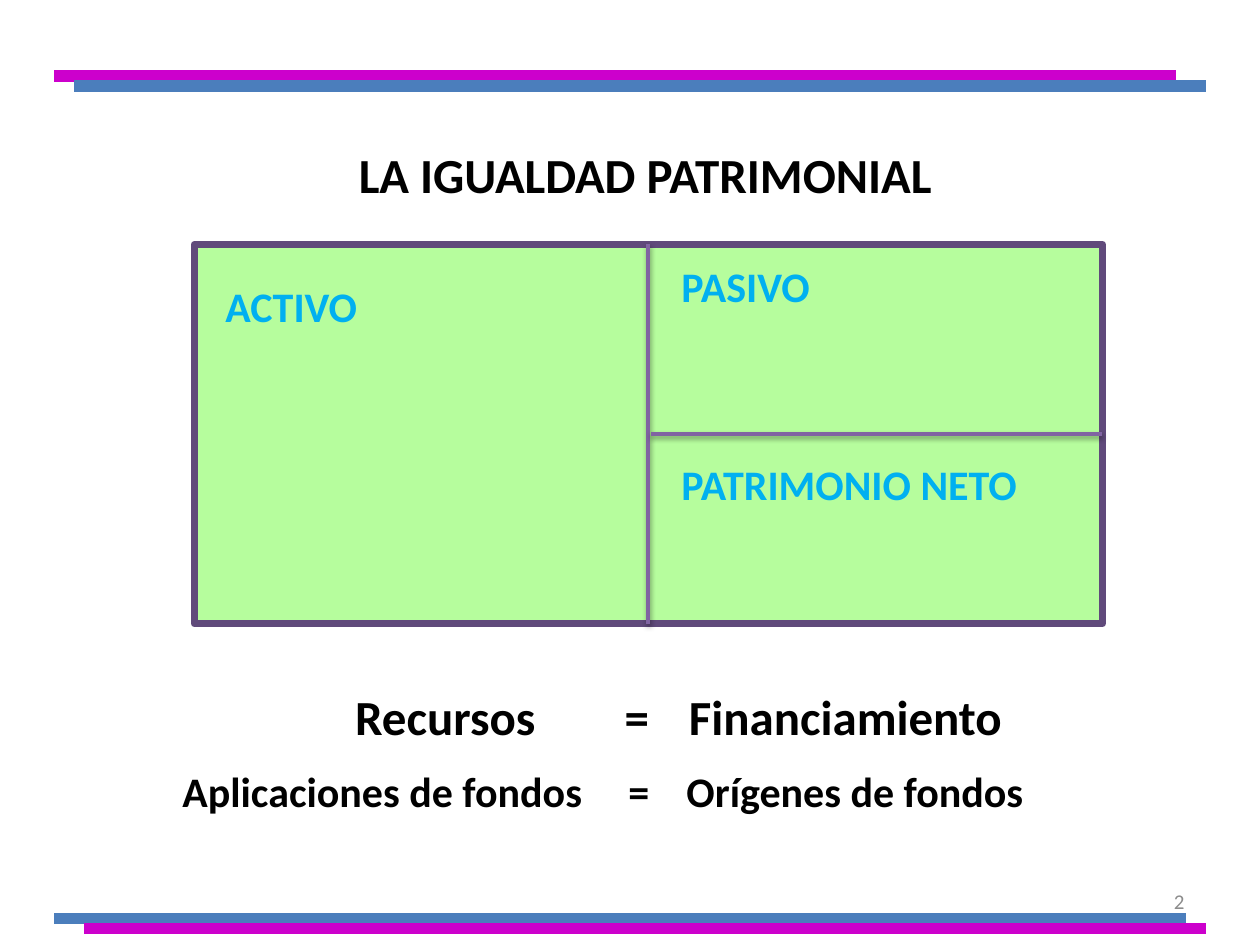
from lxml.etree import SubElement
from pptx import Presentation
from pptx.dml.color import RGBColor
from pptx.enum.shapes import MSO_CONNECTOR, MSO_SHAPE
from pptx.enum.text import MSO_ANCHOR, MSO_AUTO_SIZE, PP_ALIGN
from pptx.oxml.ns import qn
from pptx.util import Inches, Pt

colour = RGBColor.from_string
deck = Presentation()
deck.slide_width, deck.slide_height = Inches(10), Inches(7.5)
column, row = deck.slide_width / 100, deck.slide_height / 75
slide = deck.slides.add_slide(deck.slide_layouts[6])


def add_text(words, left, top, width, height, size, ink, bold=True,
             align=PP_ALIGN.LEFT, anchor=MSO_ANCHOR.TOP, stops=()):
    box = slide.shapes.add_textbox(int(left * column), int(top * row),
                                   int(width * column), int(height * row))
    frame = box.text_frame
    frame.word_wrap = True
    frame.vertical_anchor = anchor
    if anchor == MSO_ANCHOR.TOP:
        frame.auto_size = MSO_AUTO_SIZE.SHAPE_TO_FIT_TEXT
    paragraph = frame.paragraphs[0]
    paragraph.alignment = align
    if stops:
        tabs = SubElement(paragraph._p.get_or_add_pPr(), qn("a:tabLst"))
        for stop in stops:
            SubElement(tabs, qn("a:tab"), pos=str(int(stop * column)), algn="l")
    run = paragraph.add_run()
    run.text = words
    run.font.name, run.font.size, run.font.bold = "Calibri", Pt(size), bold
    run.font.color.rgb = colour(ink)


def add_line(start, end, ink, weight, shaded=False):
    line = slide.shapes.add_connector(
        MSO_CONNECTOR.STRAIGHT, int(start[0] * column), int(start[1] * row),
        int(end[0] * column), int(end[1] * row))
    line.line.color.rgb = colour(ink)
    line.line.width = Pt(weight)
    effects = SubElement(line._element.spPr, qn("a:effectLst"))
    if shaded:
        shadow = SubElement(effects, qn("a:outerShdw"), blurRad=str(Pt(3.1)),
                            dist=str(Pt(1.6)), dir="5400000", rotWithShape="0")
        black = SubElement(shadow, qn("a:srgbClr"), val="000000")
        SubElement(black, qn("a:alpha"), val="38000")
    return line


add_text("2", 71.7, 69.5, 23.3, 4, 12, "8C8C8C", bold=False,
         align=PP_ALIGN.RIGHT, anchor=MSO_ANCHOR.MIDDLE)

for left, right, level, ink in [(4.3, 93.3, 6, "CC00CC"), (5.9, 95.7, 6.8, "4B7EBC"),
                                (4.3, 94.1, 72.9, "4B7EBC"), (6.7, 95.7, 73.7, "CC00CC")]:
    add_line((left, level), (right, level), ink, 6.75)

add_text("LA IGUALDAD PATRIMONIAL", 8.3, 9.2, 85.8, 9.2, 28, "000000",
         align=PP_ALIGN.CENTER, anchor=MSO_ANCHOR.MIDDLE)

left, top, width, height = 15.4, 19.4, 72.1, 30.1
middle_x, middle_y = left + width / 2, top + height / 2
balance = slide.shapes.add_shape(MSO_SHAPE.RECTANGLE, int(left * column), int(top * row),
                                 int(width * column), int(height * row))
balance.shadow.inherit = False
balance.fill.solid()
balance.fill.fore_color.rgb = colour("B6FD9D")
balance.line.color.rgb = colour("604A7B")
balance.line.width = Pt(4)

add_text("\tRecursos\t=\tFinanciamiento", 18.5, 54, 72.6, 5.7, 28, "000000",
         stops=(8.7, 30.1, 35.2))
add_text("\tAplicaciones de fondos\t=\tOrígenes de fondos", 8.3, 60.3, 85, 5, 24, "000000",
         stops=(5.2, 40.6, 45.2))

sides = add_line((middle_x, top), (middle_x, top + height), "8064A2", 2, shaded=True)
sides.begin_connect(balance, 0)
sides.end_connect(balance, 2)
claims = add_line((left + width, middle_y), (middle_x + 0.2, middle_y), "8064A2", 2, shaded=True)
claims.begin_connect(balance, 3)

for words, left, top, width in [("ACTIVO", 16.9, 21.8, 20.5), ("PASIVO", 53.1, 20.2, 20.5),
                                ("PATRIMONIO NETO", 53.1, 35.9, 29.9)]:
    add_text(words, left, top, width, 5, 24, "00B0F0")

deck.save("out.pptx")
